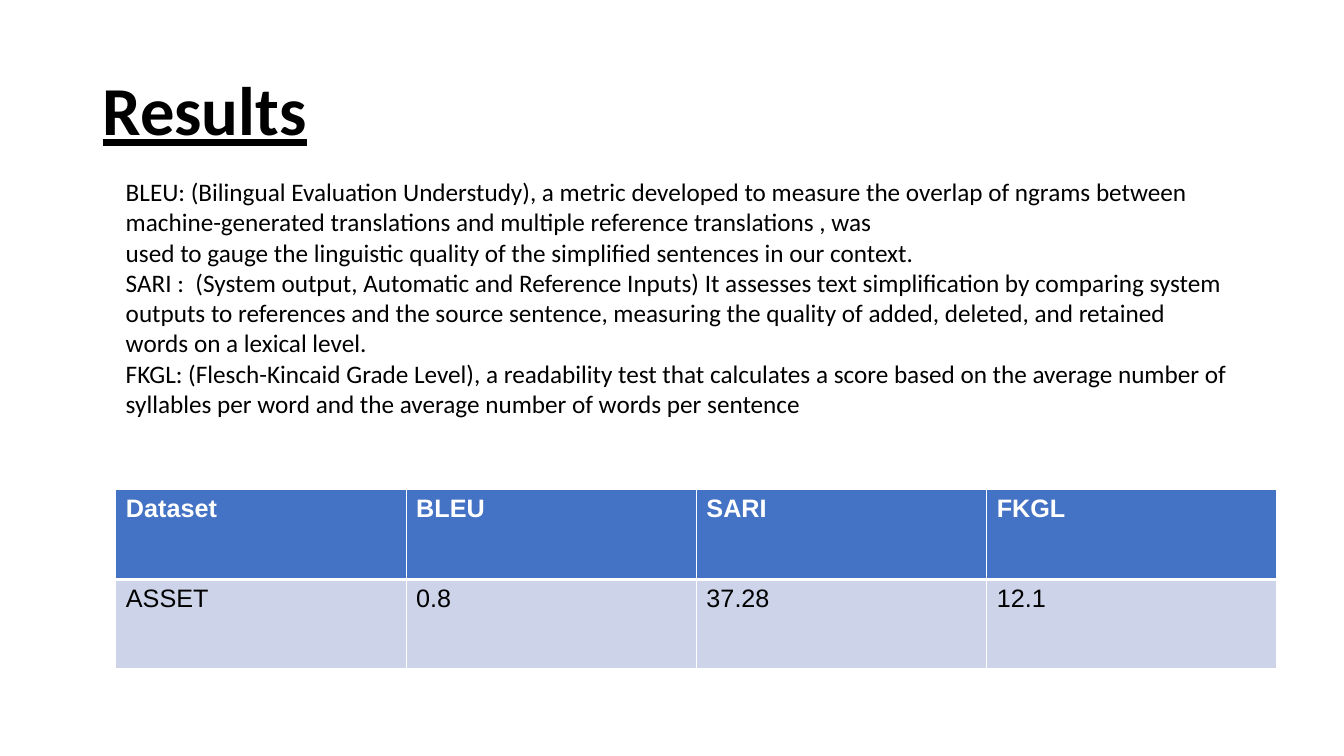
from lxml import etree
from pptx import Presentation
from pptx.dml.color import RGBColor
from pptx.enum.text import MSO_ANCHOR, MSO_AUTO_SIZE, PP_ALIGN
from pptx.oxml.ns import qn
from pptx.util import Cm, Pt

LEFT, MIDDLE = PP_ALIGN.LEFT, MSO_ANCHOR.MIDDLE
NO_FIT, GROW = MSO_AUTO_SIZE.NONE, MSO_AUTO_SIZE.SHAPE_TO_FIT_TEXT
TITLE_ONLY = 5
BLACK, WHITE, BLUE, PALE_BLUE = "000000", "FFFFFF", "4472C4", "CDD4EA"

TITLE_FORMAT = {"name": "Calibri", "size": Pt(49), "bold": True, "underline": True}
METRIC_FORMAT = {"name": "Calibri", "size": Pt(18)}
HEADER_FORMAT = {"name": "Arial", "size": Pt(18), "bold": True}
SCORE_FORMAT = {**HEADER_FORMAT, "bold": False}

METRICS = [
    "BLEU: (Bilingual Evaluation Understudy), a metric developed to measure the "
    "overlap of ngrams between machine-generated translations and multiple "
    "reference translations , was",
    "used to gauge the linguistic quality of the simplified sentences in our context.",
    "SARI :  (System output, Automatic and Reference Inputs) It assesses text "
    "simplification by comparing system outputs to references and the source "
    "sentence, measuring the quality of added, deleted, and retained words on a "
    "lexical level.",
    "FKGL: (Flesch-Kincaid Grade Level), a readability test that calculates a score "
    "based on the average number of syllables per word and the average number of "
    "words per sentence",
]
SCORES = [
    ["Dataset", "BLEU", "SARI", "FKGL"],
    ["ASSET", "0.8", "37.28", "12.1"],
]


def rgb(hex_color):
    return RGBColor.from_string(hex_color)


def write(paragraph, text, color, formats):
    paragraph.alignment = LEFT
    run = paragraph.add_run()
    run.text = text
    run.font.color.rgb = rgb(color)
    for attribute, value in formats.items():
        setattr(run.font, attribute, value)


def add_border(cell, side, points):
    properties = cell._tc.get_or_add_tcPr()
    line = etree.SubElement(properties, qn(f"a:ln{side}"), w=str(Pt(points)))
    solid = etree.SubElement(line, qn("a:solidFill"))
    etree.SubElement(solid, qn("a:srgbClr"), val=WHITE)


def place_title(slide, left, top, width, height):
    title = slide.shapes.title
    title.left, title.top, title.width, title.height = left, top, width, height
    frame = title.text_frame
    frame.vertical_anchor = MIDDLE
    frame.auto_size = NO_FIT
    heading = frame.paragraphs[0]
    heading.line_spacing = 0.9
    write(heading, "Results", BLACK, TITLE_FORMAT)


def place_metrics(slide, left, top, width, height):
    frame = slide.shapes.add_textbox(left, top, width, height).text_frame
    frame.word_wrap = True
    frame.auto_size = GROW
    for index, metric in enumerate(METRICS):
        paragraph = frame.add_paragraph() if index else frame.paragraphs[0]
        write(paragraph, metric, BLACK, METRIC_FORMAT)


def place_scores(slide, left, top, width, height):
    scores = slide.shapes.add_table(
        len(SCORES), len(SCORES[0]), left, top, width, height).table
    # Header row, then score row, with a thick rule between them
    row_styles = [
        (BLUE, WHITE, HEADER_FORMAT, {"L": 1, "R": 1, "T": 1, "B": 3}),
        (PALE_BLUE, BLACK, SCORE_FORMAT, {"L": 1, "R": 1, "T": 3, "B": 1}),
    ]
    for row, (values, style) in enumerate(zip(SCORES, row_styles)):
        fill, color, formats, borders = style
        for column, value in enumerate(values):
            cell = scores.cell(row, column)
            for side, points in borders.items():
                add_border(cell, side, points)
            cell.fill.solid()
            cell.fill.fore_color.rgb = rgb(fill)
            write(cell.text_frame.paragraphs[0], value, color, formats)


def build_results(presentation):
    slide = presentation.slides.add_slide(presentation.slide_layouts[TITLE_ONLY])
    slide.background.fill.solid()
    slide.background.fill.fore_color.rgb = rgb(WHITE)
    # Heading, metric definitions and score table, from top to bottom
    place_title(slide, Cm(2.33), Cm(1.02), Cm(29.21), Cm(3.68))
    place_scores(slide, Cm(2.92), Cm(12.34), Cm(29.26), Cm(4.52))
    place_metrics(slide, Cm(2.92), Cm(4.32), Cm(28.35), Cm(6.4))


def main():
    presentation = Presentation()
    presentation.slide_width, presentation.slide_height = Cm(33.87), Cm(19.05)
    build_results(presentation)
    presentation.save("out.pptx")


if __name__ == "__main__":
    main()
